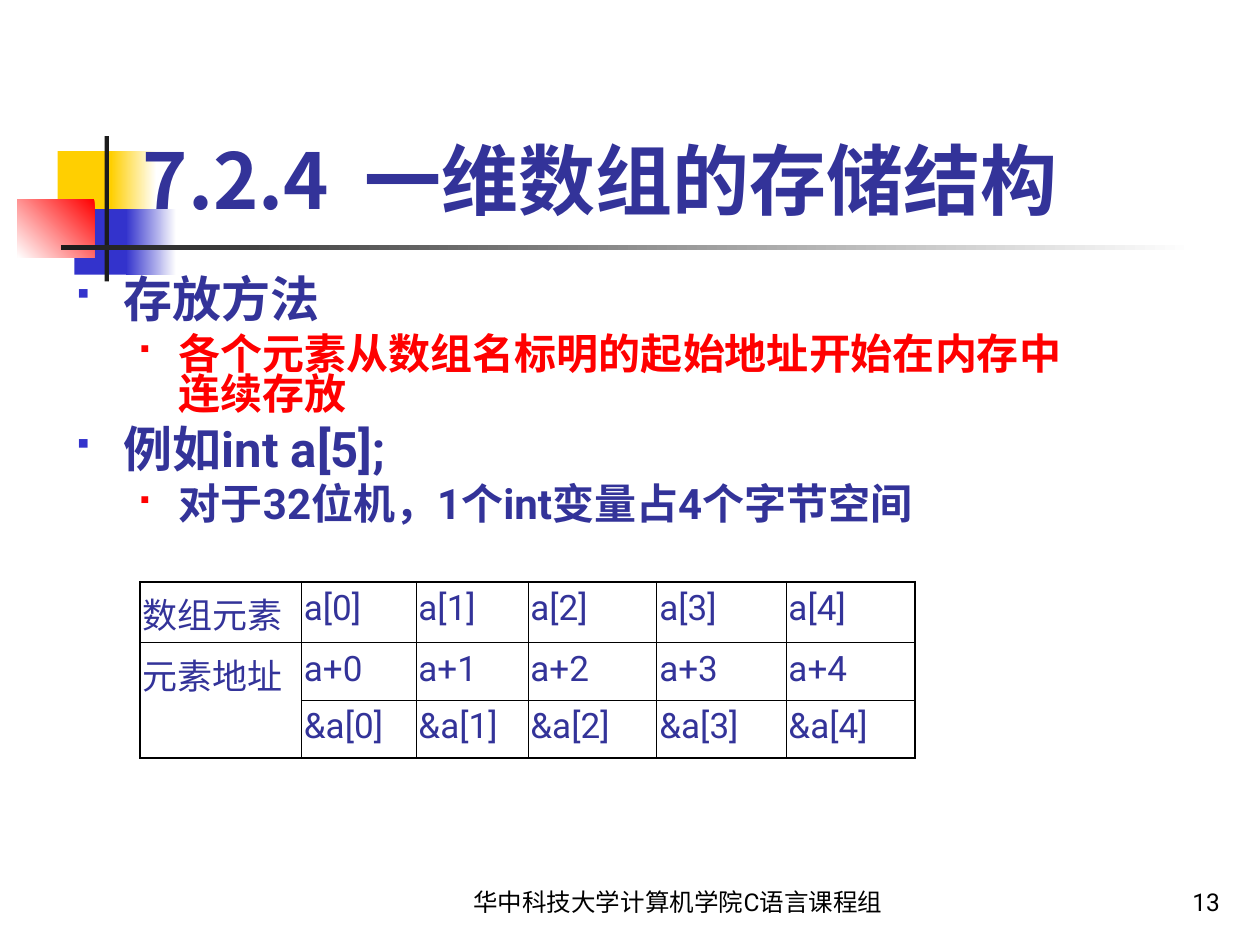
from lxml import etree
from pptx import Presentation
from pptx.dml.color import RGBColor
from pptx.enum import shapes, text
from pptx.oxml import ns
from pptx.util import Pt

# Content
TITLE = "7.2.4  一维数组的存储结构"
BODY = [  # level, text, colour
    (0, "存放方法", "navy"),
    (1, "各个元素从数组名标明的起始地址开始在内存中连续存放", "red"),
    (0, "例如int a[5];", "navy"),
    (1, "对于32位机，1个int变量占4个字节空间", "navy"),
]
ROWS = [
    ["数组元素"] + [f"a[{i}]" for i in range(5)],
    ["元素地址"] + [f"a+{i}" for i in range(5)],
    [""] + [f"&a[{i}]" for i in range(5)],
]
FOOTER = "华中科技大学计算机学院C语言课程组"
PAGE = "13"

# Style
COLORS = {"navy": "333399", "red": "FF0000", "blue": "3333CC", "yellow": "FFCF01",
          "ink": "1C1C1C", "black": "000000", "white": "FFFFFF"}
LATIN, CJK = "Roboto", "Noto Sans CJK SC"
LEVELS = [  # size, left margin, hanging indent, space before, bullet colour, bullet %
    (28, 27, 27, 7, "blue", 60),
    (24, 58.5, 22.5, 6, "red", 55),
]
DECOR = [  # left, top, width, height, colours from start to end, angle
    (33, 86.4, 34.5, 37.4, ["yellow"], 0),
    (63.4, 86.4, 26, 37.4, ["white", "yellow"], 180),
    (42.5, 119.5, 33, 37.5, ["blue"], 0),
    (72, 119.5, 28.8, 37.5, ["white", "blue"], 180),
    (10, 113.8, 44, 33.4, ["red", "white"], 225),
    (59.8, 77.8, 2.4, 83, ["ink"], 0),
    (34.6, 140.2, 648, 2.4, ["white", "ink"], 180),
]
COL_WIDTHS = [92.2, 65.5, 64, 73.7, 73.8, 73.6]
ROW_HEIGHTS = [34.6, 33, 33]
THIN, THICK = 0.45, 1.08


def rgb(name):
    return RGBColor.from_string(COLORS[name])


def style(p, size, color, bold=False, latin=LATIN):
    for r in p.runs:
        r.font.size, r.font.bold, r.font.name = Pt(size), bold, latin
        r.font.color.rgb = rgb(color)
        etree.SubElement(r._r.get_or_add_rPr(), ns.qn("a:ea"), typeface=CJK)


def add_text(slide, box, content, anchor, align):
    tf = slide.shapes.add_textbox(*map(Pt, box)).text_frame
    tf.word_wrap = True
    tf.vertical_anchor = anchor
    tf.text = content
    for p in tf.paragraphs:
        p.alignment = align
    return tf


def add_bullet(p, margin, hang, color, percent):
    pPr = p._p.get_or_add_pPr()
    pPr.set("marL", str(Pt(margin)))
    pPr.set("indent", str(-Pt(hang)))
    clr = etree.SubElement(pPr, ns.qn("a:buClr"))
    etree.SubElement(clr, ns.qn("a:srgbClr"), val=COLORS[color])
    etree.SubElement(pPr, ns.qn("a:buSzPct"), val=str(percent * 1000))
    etree.SubElement(pPr, ns.qn("a:buFont"), typeface="Wingdings")
    etree.SubElement(pPr, ns.qn("a:buChar"), char="§")


def set_borders(cell, widths):
    tcPr = cell._tc.get_or_add_tcPr()
    for i, (side, width) in enumerate(widths.items()):
        ln = etree.Element(ns.qn(f"a:ln{side}"), w=str(Pt(width)))
        fill = etree.SubElement(ln, ns.qn("a:solidFill"))
        etree.SubElement(fill, ns.qn("a:srgbClr"), val=COLORS["black"])
        tcPr.insert(i, ln)


prs = Presentation()
prs.slide_width, prs.slide_height = Pt(720), Pt(540)
slide = prs.slides.add_slide(prs.slide_layouts[6])

# Decorative blocks and rules
for *box, colors, angle in DECOR:
    sp = slide.shapes.add_shape(shapes.MSO_SHAPE.RECTANGLE, *map(Pt, box))
    sp.shadow.inherit = False
    sp.line.fill.background()
    if len(colors) == 1:
        sp.fill.solid()
        sp.fill.fore_color.rgb = rgb(colors[0])
    else:
        sp.fill.gradient()
        sp.fill.gradient_angle = angle
        for stop, color in zip(sp.fill.gradient_stops, colors):
            stop.color.rgb = rgb(color)

# Title
tf = add_text(slide, (37.5, 16.6, 611, 115.2), TITLE,
              text.MSO_ANCHOR.BOTTOM, text.PP_ALIGN.CENTER)
style(tf.paragraphs[0], 44, "navy", True, CJK)

# Bulleted body
tf = add_text(slide, (36.7, 156.2, 594.7, 164), "\n".join(item[1] for item in BODY),
              text.MSO_ANCHOR.TOP, text.PP_ALIGN.LEFT)
for i, (p, (level, _, color)) in enumerate(zip(tf.paragraphs, BODY)):
    size, margin, hang, before, bullet_color, percent = LEVELS[level]
    add_bullet(p, margin, hang, bullet_color, percent)
    p.level = level
    p.line_spacing = 0.8
    if i:
        p.space_before = Pt(before)
    style(p, size, color, True)

# Table of elements and addresses
table = slide.shapes.add_table(len(ROWS), len(COL_WIDTHS), Pt(80), Pt(332.4),
                               Pt(sum(COL_WIDTHS)), Pt(sum(ROW_HEIGHTS))).table
table.first_row = table.horz_banding = False
for col, width in zip(table.columns, COL_WIDTHS):
    col.width = Pt(width)
for row, height in zip(table.rows, ROW_HEIGHTS):
    row.height = Pt(height)
last_row, last_col = len(ROWS) - 1, len(COL_WIDTHS) - 1
for r, values in enumerate(ROWS):
    for c, value in enumerate(values):
        cell = table.cell(r, c)
        cell.fill.background()
        cell.margin_left = cell.margin_right = Pt(1.5)
        cell.margin_top = cell.margin_bottom = Pt(3.6)
        if value:
            cell.text_frame.text = value
            style(cell.text_frame.paragraphs[0], 20, "navy")
        outer = {"L": c == 0, "R": c == last_col, "T": r == 0,
                 "B": r == last_row or (r, c) == (1, 0)}
        set_borders(cell, {k: THICK if edge else THIN for k, edge in outer.items()})
table.cell(1, 0).merge(table.cell(2, 0))

# Footer and page number
for box, content, align in [
    ((241.2, 491, 292.3, 36), FOOTER, text.PP_ALIGN.CENTER),
    ((554.4, 491.5, 149.8, 36), PAGE, text.PP_ALIGN.RIGHT),
]:
    tf = add_text(slide, box, content, text.MSO_ANCHOR.BOTTOM, align)
    style(tf.paragraphs[0], 14, "black")

prs.save("out.pptx")
